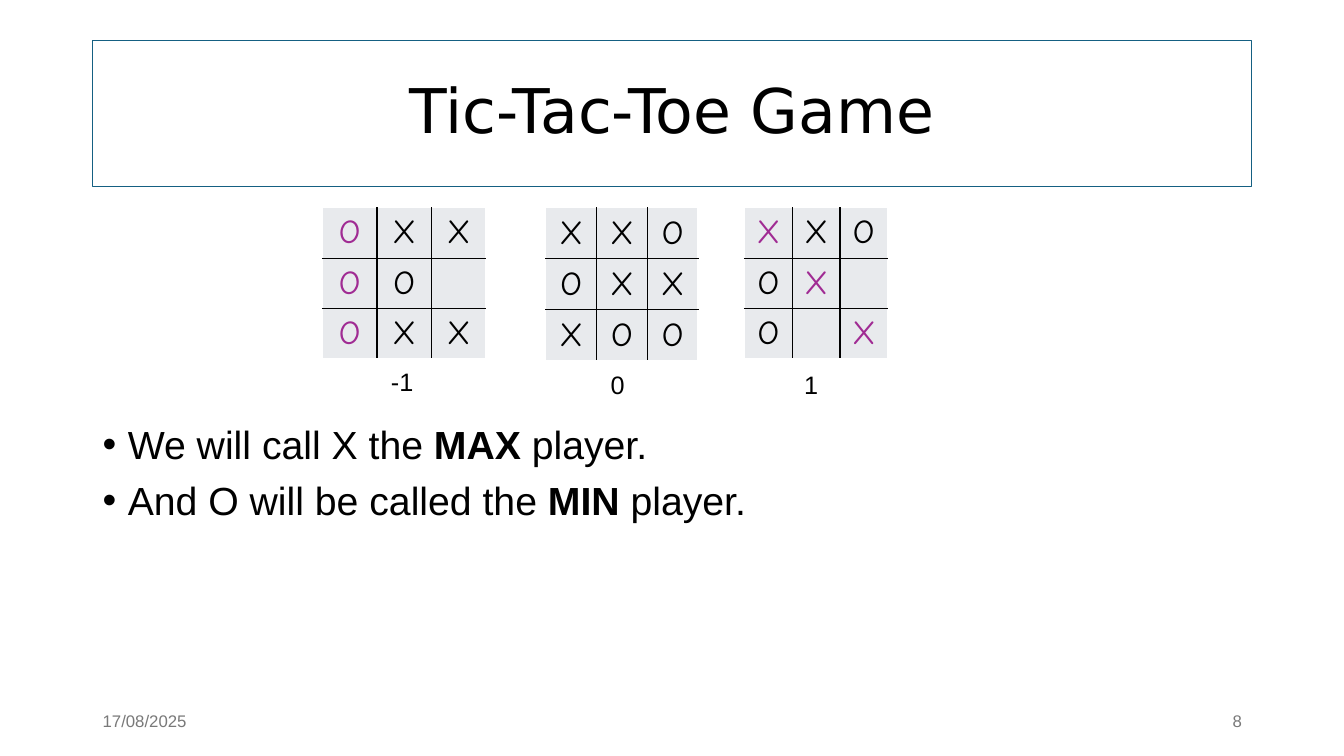
from lxml import etree
from pptx import Presentation
from pptx.dml.color import RGBColor
from pptx.enum.text import MSO_ANCHOR, PP_ALIGN
from pptx.oxml.ns import qn
from pptx.util import Inches, Pt

LEFT, MID, RIGHT = PP_ALIGN.LEFT, PP_ALIGN.CENTER, PP_ALIGN.RIGHT
TOP, CENTER = MSO_ANCHOR.TOP, MSO_ANCHOR.MIDDLE
HUES = {"ink": "000000", "win": "A02B93", "cell": "E8EAED",
        "edge": "FFFFFF", "frame": "156082", "foot": "797979"}


class Deck:
    """Holds the style and the current slide; lengths are percent of its size."""

    def __init__(self):
        self.prs = Presentation()
        self.prs.slide_width, self.prs.slide_height = Inches(13.33), Inches(7.5)
        self.slide = self.prs.slides.add_slide(self.prs.slide_layouts[5])

    def hue(self, name):
        return RGBColor.from_string(HUES[name])

    def wide(self, part):
        return round(self.prs.slide_width * part / 100)

    def high(self, part):
        return round(self.prs.slide_height * part / 100)

    def box(self, x, y, w, h):
        return self.wide(x), self.high(y), self.wide(w), self.high(h)

    def style(self, para, size, face="Arial", hue="ink", align=LEFT):
        para.alignment = align
        font = para.font
        font.size, font.name, font.bold = Pt(size), face, False
        font.color.rgb = self.hue(hue)

    def title(self, text, *area):
        shape = self.slide.shapes.title
        shape.left, shape.top, shape.width, shape.height = self.box(*area)
        shape.line.color.rgb = self.hue("frame")
        shape.line.width = Pt(0.75)
        frame = shape.text_frame
        frame.text, frame.vertical_anchor = text, CENTER
        para = frame.paragraphs[0]
        para.line_spacing = 0.9
        self.style(para, 44, "DejaVu Sans", align=MID)

    def frame(self, area, anchor=TOP):
        frame = self.slide.shapes.add_textbox(*self.box(*area)).text_frame
        frame.word_wrap, frame.vertical_anchor = True, anchor
        return frame

    def text(self, text, area, size, hue="ink", align=LEFT, anchor=TOP):
        frame = self.frame(area, anchor)
        frame.text = text
        self.style(frame.paragraphs[0], size, hue=hue, align=align)

    def bullets(self, items, area):
        frame = self.frame(area)
        for i, parts in enumerate(items):
            para = frame.add_paragraph() if i else frame.paragraphs[0]
            para.line_spacing, para.space_before = 0.9, Pt(10)
            props = para._p.get_or_add_pPr()
            props.set("marL", str(Inches(0.25)))
            props.set("indent", str(-Inches(0.25)))
            etree.SubElement(props, qn("a:buFont"), typeface="Arial")
            etree.SubElement(props, qn("a:buChar"), char="•")
            self.style(para, 28)
            for j, part in enumerate(parts):
                run = para.add_run()
                run.text, run.font.bold = part, j == 1

    def edge(self, cell, side, hue):
        line = etree.SubElement(cell._tc.get_or_add_tcPr(),
                                qn("a:ln" + side), w=str(Pt(1)))
        fill = etree.SubElement(line, qn("a:solidFill"))
        etree.SubElement(fill, qn("a:srgbClr"), val=HUES[hue])

    def board(self, rows, *area):
        """Draws a game board; lowercase marks form the winning line."""
        last = len(rows) - 1
        table = self.slide.shapes.add_table(
            len(rows), len(rows), *self.box(*area)).table
        table.first_row = table.horz_banding = False
        for r, row in enumerate(rows):
            for c, mark in enumerate(row):
                cell = table.cell(r, c)
                sides = {"L": c > 0, "R": c < last, "T": r > 0, "B": r < last}
                for side, inner in sides.items():
                    self.edge(cell, side, "ink" if inner else "edge")
                cell.fill.solid()
                cell.fill.fore_color.rgb = self.hue("cell")
                cell.vertical_anchor = CENTER
                cell.text = mark.strip().upper()
                self.style(cell.text_frame.paragraphs[0], 24, "Comic Neue",
                           "win" if mark.islower() else "ink", MID)


def main():
    deck = Deck()
    deck.title("Tic-Tac-Toe Game", 6.9, 5.33, 86.25, 19.33)
    deck.bullets([("We will call X the ", "MAX", " player."),
                  ("And O will be called the ", "MIN", " player.")],
                 (6.9, 55.6, 86.25, 34.5))
    for text, x, align in (("17/08/2025", 6.9, LEFT), ("8", 70.65, RIGHT)):
        deck.text(text, (x, 92.67, 22.5, 5.33), 12, "foot", align, CENTER)
    games = (
        (("xXO", "Ox ", "O x"), (55.4, 10.65, 19.35), "1", (59.1, 48.13, 3.2)),
        (("XXO", "OXX", "XOO"), (40.6, 11.35, 20.25), "0", (44.7, 48.13, 3.2)),
        (("oXX", "oO ", "oXX"), (24, 12.15, 19.35), "-1", (28.35, 47.73, 4.6)),
    )
    for rows, (x, w, h), score, spot in games:
        deck.board(rows, x, 27.47, w, h)
        deck.text(score, (*spot, 5.33), 18)
    deck.prs.save("out.pptx")


if __name__ == "__main__":
    main()
